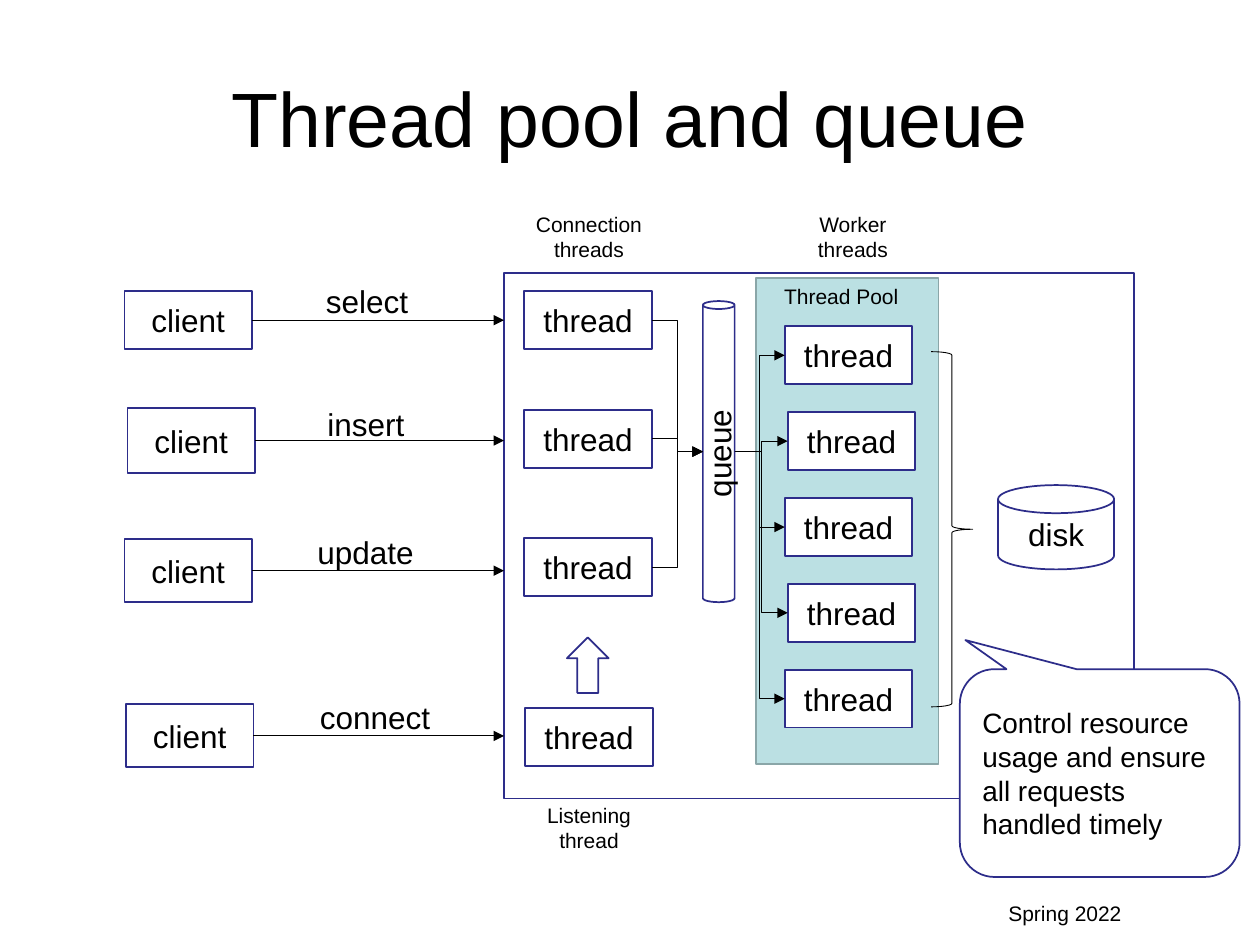
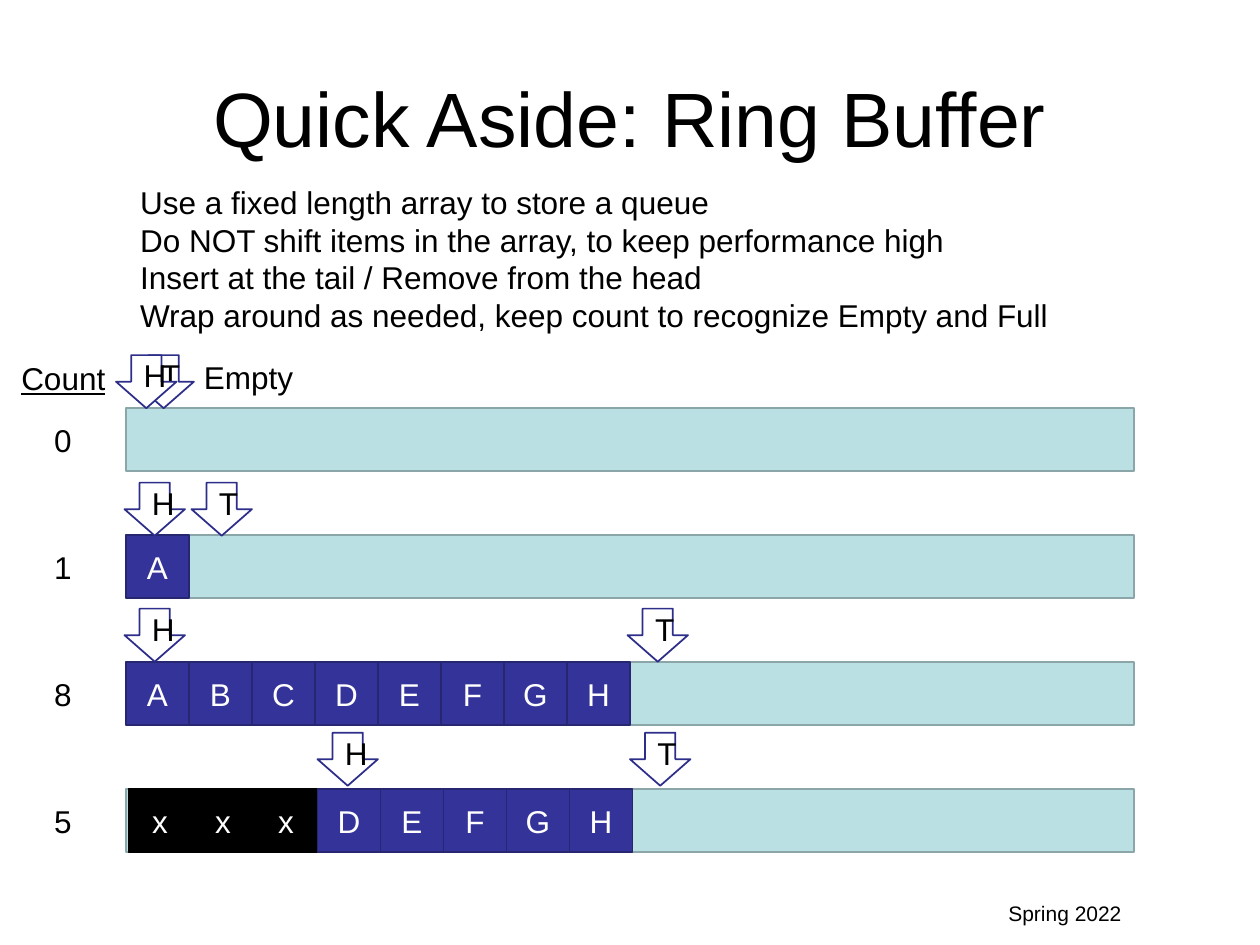
"""Builds two slides on a thread pool with its queue and on ring buffers."""
from dataclasses import dataclass
from typing import NamedTuple

from lxml.etree import SubElement
from pptx import Presentation
from pptx.dml.color import RGBColor
from pptx.enum.shapes import MSO_CONNECTOR as Link, MSO_SHAPE as Preset
from pptx.enum.text import MSO_ANCHOR as Anchor, MSO_AUTO_SIZE as AutoSize, PP_ALIGN as Align
from pptx.oxml.ns import qn
from pptx.shapes.autoshape import Shape
from pptx.shapes.connector import Connector
from pptx.slide import Slide
from pptx.text.text import TextFrame
from pptx.util import Cm, Pt

BLACK = RGBColor(0x00, 0x00, 0x00)
WHITE = RGBColor(0xFF, 0xFF, 0xFF)
OUTLINE = RGBColor(0x2D, 0x2D, 0x8A)
AQUA = RGBColor(0xBB, 0xE0, 0xE3)
AQUA_EDGE = RGBColor(0x8A, 0xA6, 0xA8)
INDIGO = RGBColor(0x33, 0x33, 0x99)
INDIGO_EDGE = RGBColor(0x26, 0x26, 0x71)
FONT = "Arial"


class Box(NamedTuple):
    """A place on the slide, in centimetres."""
    left: float
    top: float
    width: float
    height: float

    @property
    def right(self) -> float:
        """The right edge."""
        return self.left + self.width

    @property
    def middle(self) -> float:
        """The vertical centre."""
        return self.top + self.height / 2

    def lengths(self) -> list[Cm]:
        """The four measures as lengths."""
        return [Cm(value) for value in self]


class Style(NamedTuple):
    """Fill, outline and text colours of a shape."""
    fill: RGBColor
    edge: RGBColor
    ink: RGBColor = BLACK


PLAIN = Style(WHITE, OUTLINE)
POOL = Style(AQUA, AQUA_EDGE)
STORED = Style(INDIGO, INDIGO_EDGE, WHITE)
REMOVED = Style(BLACK, BLACK, WHITE)

TITLE_BOX = Box(1.27, 0.76, 22.86, 3.18)
FOOTER_BOX = Box(2.51, 18.03, 20.35, 0.76)
SERVER = Box(10.16, 5.51, 12.7, 10.59)
THREAD_POOL = Box(15.24, 5.61, 3.68, 9.8)
QUEUE = Box(14.17, 6.07, 0.64, 6.07)
THREAD_SIZE = (2.57, 1.17)
CONNECTION_TOPS = (5.87, 8.26, 10.85)
WORKER_LEFTS = (15.82, 15.88)
FIRST_WORKER_TOP, WORKER_STEP, WORKERS = 6.58, 1.73, 5

BUFFER_LEFT, FIRST_BUFFER_TOP, BUFFER_STEP = 2.54, 8.23, 2.56
CELL, CAPACITY = 1.27, 16
POINTER_SIZE = (1.22, 1.07)


@dataclass(frozen=True)
class Request:
    """A client, what it asks for, and where both stand."""
    command: str
    client: Box
    label: Box


@dataclass(frozen=True)
class BufferState:
    """One stage of the ring buffer."""
    count: str
    cells: str
    pointer_top: float
    head: float
    tail: float
    shift: float = 0


REQUESTS = (
    Request("select", Box(2.51, 5.87, 2.57, 1.17), Box(6.32, 5.56, 2.18, 1.02)),
    Request("insert", Box(2.57, 8.23, 2.57, 1.3), Box(6.35, 8.05, 2.08, 1.02)),
    Request("update", Box(2.51, 10.87, 2.57, 1.27), Box(6.15, 10.62, 2.46, 1.02)),
    Request("connect", Box(2.54, 14.2, 2.57, 1.27), Box(6.2, 13.94, 2.77, 1.02)),
)
CAPTIONS = (
    (("Connection", "threads"), Box(10.54, 4.14, 2.67, 1.27)),
    (("Worker", "threads"), Box(16.23, 4.14, 1.93, 1.27)),
    (("Listening", "thread"), Box(10.77, 16.05, 2.21, 1.27)),
    (("Thread Pool",), Box(15.54, 5.59, 2.84, 0.76)),
)
RING_RULES = (
    "Use a fixed length array to store a queue",
    "Do NOT shift items in the array, to keep performance high",
    "Insert at the tail / Remove from the head",
    "Wrap around as needed, keep count to recognize Empty and Full",
)
BUFFER_STATES = (
    BufferState("0", "", 7.16, 2.34, 2.69),
    BufferState("1", "A", 9.73, 2.51, 3.86),
    BufferState("8", "ABCDEFGH", 12.27, 2.51, 12.65),
    BufferState("5", "xxxDEFGH", 14.77, 6.4, 12.7, 0.05),
)


def write(frame: TextFrame, lines: tuple[str, ...], size: float, align: Align,
          ink: RGBColor = BLACK, underline: bool = False) -> None:
    """Fill a text frame with one formatted run per line."""
    for number, line in enumerate(lines):
        paragraph = frame.add_paragraph() if number else frame.paragraphs[0]
        paragraph.alignment = align
        paragraph.space_before = Pt(0)
        run = paragraph.add_run()
        run.text = line
        run.font.name = FONT
        run.font.size = Pt(size)
        run.font.color.rgb = ink
        if underline:
            run.font.underline = True


def place(shape: Shape, box: Box) -> None:
    """Move and size a shape."""
    shape.left, shape.top, shape.width, shape.height = box.lengths()


def add_label(slide: Slide, lines: tuple[str, ...], box: Box, size: float = 18,
              align: Align = Align.LEFT, wrap: bool = False, underline: bool = False) -> None:
    """Add free-standing text."""
    frame = slide.shapes.add_textbox(*box.lengths()).text_frame
    frame.word_wrap = wrap
    frame.auto_size = AutoSize.SHAPE_TO_FIT_TEXT
    write(frame, lines, size, align, underline=underline)


def add_block(slide: Slide, preset: Preset, box: Box, text: str = "", style: Style = PLAIN,
              size: float = 18, align: Align = Align.CENTER) -> Shape:
    """Add a filled and outlined shape, with text if given."""
    block = slide.shapes.add_shape(preset, *box.lengths())
    block.shadow.inherit = False
    block.fill.solid()
    block.fill.fore_color.rgb = style.fill
    block.line.color.rgb = style.edge
    block.line.width = Pt(1)
    if text:
        block.text_frame.word_wrap = True
        block.text_frame.vertical_anchor = Anchor.MIDDLE
        write(block.text_frame, (text,), size, align, style.ink)
    return block


def add_arrow(slide: Slide, kind: Link, start: tuple[float, float],
              end: tuple[float, float]) -> Connector:
    """Add a thin black connector with an arrowhead at its end."""
    arrow = slide.shapes.add_connector(kind, *(Cm(value) for value in start + end))
    arrow.line.color.rgb = BLACK
    arrow.line.width = Pt(0.5)
    SubElement(arrow.line._get_or_add_ln(), qn("a:tailEnd"), type="triangle")
    SubElement(arrow.element.spPr, qn("a:effectLst"))
    return arrow


def add_titled_slide(deck: Presentation, layout: int, title: str) -> Slide:
    """Add a slide with the shared title and footer."""
    slide = deck.slides.add_slide(deck.slide_layouts[layout])
    heading = slide.shapes.title
    place(heading, TITLE_BOX)
    heading.text_frame.auto_size = AutoSize.NONE
    heading.text_frame.vertical_anchor = Anchor.MIDDLE
    write(heading.text_frame, (title,), 44, Align.CENTER)
    add_label(slide, ("Spring 2022",), FOOTER_BOX, 12, Align.RIGHT, wrap=True)
    return slide


def add_requests(slide: Slide) -> None:
    """Draw the clients and their requests to the server."""
    for request in REQUESTS:
        client = add_block(slide, Preset.RECTANGLE, request.client, "client")
        middle = request.client.middle
        arrow = add_arrow(slide, Link.STRAIGHT, (request.client.right, middle),
                          (SERVER.left, middle))
        arrow.begin_connect(client, 3)
        add_label(slide, (request.command,), request.label)


def add_threads(slide: Slide) -> None:
    """Draw the threads on both sides of the queue and the links through it."""
    connections = [Box(10.57, top, *THREAD_SIZE) for top in CONNECTION_TOPS]
    workers = [Box(WORKER_LEFTS[number % 2], FIRST_WORKER_TOP + number * WORKER_STEP, *THREAD_SIZE)
               for number in range(WORKERS)]
    listener = Box(10.59, 14.27, *THREAD_SIZE)
    for thread in (*connections, *workers, listener):
        add_block(slide, Preset.RECTANGLE, thread, "thread")
    queue = add_block(slide, Preset.CAN, QUEUE, "queue")
    queue.element.txBody.bodyPr.set("vert", "vert270")
    for thread in connections:
        add_arrow(slide, Link.ELBOW, (thread.right, thread.middle), (QUEUE.left, QUEUE.middle))
    for thread in workers:
        add_arrow(slide, Link.ELBOW, (QUEUE.right, QUEUE.middle), (thread.left, thread.middle))


def build_thread_pool(deck: Presentation) -> None:
    """Build the slide on the thread pool."""
    slide = add_titled_slide(deck, 5, "Thread pool and queue")
    add_block(slide, Preset.RECTANGLE, SERVER)
    add_block(slide, Preset.RECTANGLE, THREAD_POOL, style=POOL)
    add_requests(slide)
    add_threads(slide)
    add_block(slide, Preset.FLOWCHART_MAGNETIC_DISK, Box(20.12, 9.78, 2.34, 1.7), "disk")
    add_block(slide, Preset.UP_ARROW, Box(11.43, 12.85, 0.84, 1.12))
    brace = add_block(slide, Preset.RIGHT_BRACE, Box(18.77, 7.09, 0.84, 7.16))
    brace.fill.background()
    brace.line.color.rgb = BLACK
    brace.line.width = Pt(0.5)
    for lines, box in CAPTIONS:
        add_label(slide, lines, box, 12, Align.CENTER)
    benefit = add_block(slide, Preset.ROUNDED_RECTANGULAR_CALLOUT, Box(19.35, 13.49, 5.64, 4.19),
                        "Control resource usage and ensure all requests handled timely",
                        size=16, align=Align.LEFT)
    benefit.adjustments[0] = -0.48
    benefit.adjustments[1] = -0.64


def add_buffer(slide: Slide, state: BufferState, top: float) -> None:
    """Draw one stage of the buffer with its cells, pointers and count."""
    add_block(slide, Preset.RECTANGLE, Box(BUFFER_LEFT, top, CAPACITY * CELL, CELL), style=POOL)
    for number, item in enumerate(state.cells):
        cell = Box(BUFFER_LEFT + state.shift + number * CELL, top, CELL, CELL)
        add_block(slide, Preset.RECTANGLE, cell, item, REMOVED if item == "x" else STORED)
    for letter, left in (("T", state.tail), ("H", state.head)):
        add_block(slide, Preset.DOWN_ARROW, Box(left, state.pointer_top, *POINTER_SIZE), letter)
    add_label(slide, (state.count,), Box(0.84, top + 0.13, 0.86, 1.02), align=Align.CENTER)


def build_ring_buffer(deck: Presentation) -> None:
    """Build the slide on the ring buffer."""
    slide = add_titled_slide(deck, 1, "Quick Aside: Ring Buffer")
    rules = slide.placeholders[1]
    place(rules, Box(2.57, 3.56, 19, 3.33))
    rules.text_frame.word_wrap = False
    rules.text_frame.auto_size = AutoSize.NONE
    write(rules.text_frame, RING_RULES, 18, Align.LEFT)
    for paragraph in rules.text_frame.paragraphs:
        properties = paragraph._p.get_or_add_pPr()
        properties.set("marL", "0")
        properties.set("indent", "0")
        SubElement(properties, qn("a:buNone"))
    add_label(slide, ("Empty",), Box(3.86, 7.09, 2.34, 1.02))
    add_label(slide, ("Count",), Box(0.18, 7.11, 2.24, 1.02), underline=True)
    for number, state in enumerate(BUFFER_STATES):
        add_buffer(slide, state, FIRST_BUFFER_TOP + number * BUFFER_STEP)


def main() -> None:
    """Build and save the deck."""
    deck = Presentation()
    deck.slide_width, deck.slide_height = Cm(25.4), Cm(19.05)
    build_thread_pool(deck)
    build_ring_buffer(deck)
    deck.save("out.pptx")


if __name__ == "__main__":
    main()
